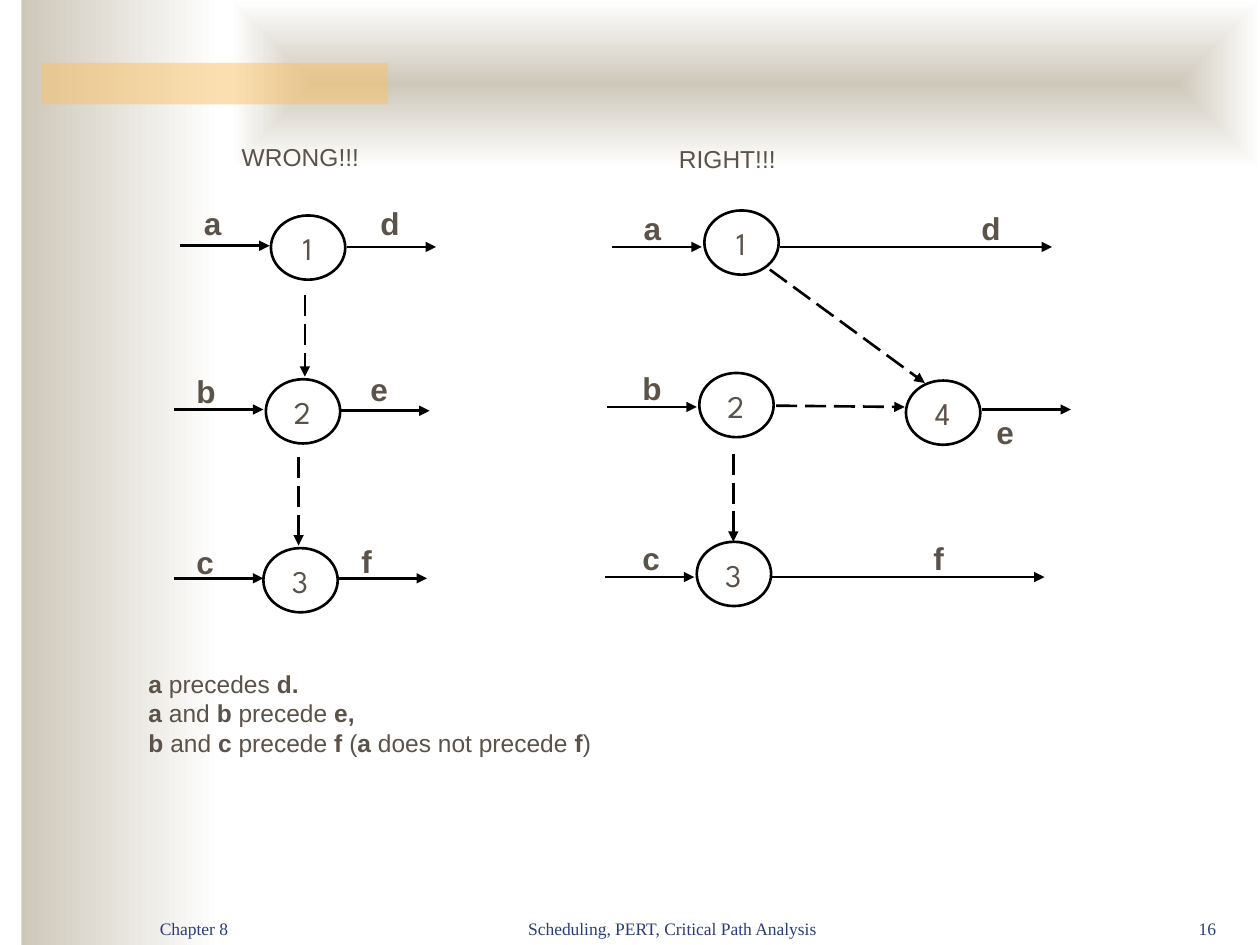
from dataclasses import dataclass

from lxml import etree
from pptx import Presentation
from pptx.dml.color import RGBColor
from pptx.enum.dml import MSO_LINE
from pptx.enum.shapes import MSO_CONNECTOR, MSO_SHAPE
from pptx.enum.text import MSO_ANCHOR, PP_ALIGN
from pptx.oxml.ns import qn
from pptx.util import Inches, Pt

RECT, OVAL = MSO_SHAPE.RECTANGLE, MSO_SHAPE.OVAL
STRAIGHT, LONG_DASH = MSO_CONNECTOR.STRAIGHT, MSO_LINE.LONG_DASH
LEFT, CENTER, RIGHT = PP_ALIGN.LEFT, PP_ALIGN.CENTER, PP_ALIGN.RIGHT
TOP, BOTTOM = MSO_ANCHOR.TOP, MSO_ANCHOR.BOTTOM


@dataclass(frozen=True)
class Theme:
    """Colours, fonts and type sizes of the slide."""
    sand: str = "CEC8BA"
    white: str = "FFFFFF"
    accent: str = "FAC164"
    ink: str = "5B5249"
    footer: str = "2A3D7A"
    stroke: str = "000000"
    body_font: str = "Arial"
    node_font: str = "League Spartan"
    footer_font: str = "Times New Roman"
    label_size: int = 18
    body_size: int = 14
    footer_size: int = 10
    line_width: float = 1.5


class NetworkSlide:
    """Draws activity networks on one slide in one style."""

    def __init__(self, slide, theme):
        """Keep the slide and the theme."""
        self.shapes, self.theme = slide.shapes, theme

    def shape(self, kind, box):
        """Add a preset shape without shadow."""
        shape = self.shapes.add_shape(kind, *map(Inches, box))
        shape.shadow.inherit = False
        return shape

    def gradient_panel(self, box, from_center=False):
        """Add a sand-to-white panel, fading rightwards or from its centre."""
        panel = self.shape(RECT, box)
        panel.line.fill.background()
        panel.fill.gradient()
        panel.fill.gradient_angle = 0
        for stop, color in zip(panel.fill.gradient_stops, (self.theme.sand, self.theme.white)):
            stop.color.rgb = RGBColor.from_string(color)
        if from_center:
            gradient = panel.fill._xPr.find(qn("a:gradFill"))
            gradient.remove(gradient.find(qn("a:lin")))
            shade = etree.SubElement(gradient, qn("a:path"), {"path": "rect"})
            sides = dict.fromkeys("ltrb", "50000")
            etree.SubElement(shade, qn("a:fillToRect"), sides)

    def accent_bar(self, box):
        """Add the half-transparent title bar."""
        bar = self.shape(RECT, box)
        bar.line.fill.background()
        bar.fill.solid()
        bar.fill.fore_color.rgb = RGBColor.from_string(self.theme.accent)
        color = bar.fill._xPr.find(qn("a:solidFill"))[0]
        etree.SubElement(color, qn("a:alpha"), {"val": "50000"})

    def text(self, box, lines, size, font, color=None, align=LEFT, anchor=TOP):
        """Add a text box; each line is a list of (words, bold) runs."""
        frame = self.shapes.add_textbox(*map(Inches, box)).text_frame
        frame.word_wrap = True
        frame.vertical_anchor = anchor
        for index, line in enumerate(lines):
            paragraph = frame.add_paragraph() if index else frame.paragraphs[0]
            paragraph.alignment = align
            for words, bold in line:
                run = paragraph.add_run()
                run.text = words
                run.font.name, run.font.size, run.font.bold = font, Pt(size), bold
                run.font.color.rgb = RGBColor.from_string(color or self.theme.ink)

    def footer(self, box, words, align):
        """Add one footer entry."""
        theme = self.theme
        self.text(box, [[(words, False)]], theme.footer_size, theme.footer_font,
                  theme.footer, align, BOTTOM)

    def heading(self, box, words):
        """Add the caption above a network."""
        self.text(box, [[(words, False)]], self.theme.body_size, self.theme.body_font)

    def node(self, number, x, y):
        """Add a numbered event circle."""
        circle = self.shape(OVAL, (x, y, 0.59, 0.51))
        circle.fill.background()
        self.stroke(circle.line)
        self.text((x - 0.02, y + 0.06, 0.62, 0.49), [[(number, False)]],
                  self.theme.label_size, self.theme.node_font, align=CENTER)

    def activity(self, name, x, y):
        """Add the letter of an activity."""
        self.text((x, y, 0.49, 0.46), [[(name, True)]],
                  self.theme.label_size, self.theme.body_font)

    def stroke(self, line):
        """Give a line the common colour and width."""
        line.color.rgb = RGBColor.from_string(self.theme.stroke)
        line.width = Pt(self.theme.line_width)

    def arrow(self, x1, y1, x2, y2, dummy=False):
        """Add an activity arrow, dashed for a dummy activity."""
        arrow = self.shapes.add_connector(STRAIGHT, *map(Inches, (x1, y1, x2, y2)))
        self.stroke(arrow.line)
        if dummy:
            arrow.line.dash_style = LONG_DASH
        etree.SubElement(arrow.line._get_or_add_ln(), qn("a:tailEnd"), {"type": "triangle"})
        etree.SubElement(arrow._element.spPr, qn("a:effectLst"))


SHORT, LONG = 0.71, 2.16
NODES = [("1", 2.15, 1.71), ("1", 5.59, 1.67), ("2", 2.11, 3.01), ("2", 5.55, 2.96),
         ("3", 2.09, 4.35), ("3", 5.53, 4.3), ("4", 7.19, 3.02)]
# Start x, y and length of each activity arrow
ACTIVITY_ARROWS = [
    (1.43, 1.95, SHORT), (2.75, 1.96, SHORT), (1.38, 3.25, SHORT),
    (2.7, 3.26, SHORT), (1.38, 4.59, SHORT), (2.68, 4.59, SHORT),
    (4.86, 1.96, SHORT), (6.19, 1.96, LONG), (4.82, 3.23, SHORT),
    (7.79, 3.25, SHORT), (4.8, 4.58, SHORT), (6.13, 4.58, LONG)]
DUMMY_ARROWS = [(2.42, 2.34, 2.42, 2.99), (2.37, 3.63, 2.37, 4.33),
                (6.16, 3.22, 7.18, 3.23), (5.82, 3.6, 5.82, 4.3),
                (6.11, 2.14, 7.34, 3.04)]
ACTIVITIES = [("a", 1.52, 1.57), ("d", 2.92, 1.57), ("b", 1.46, 2.9),
              ("e", 2.84, 2.89), ("c", 1.46, 4.26), ("f", 2.77, 4.25),
              ("a", 5.01, 1.61), ("d", 7.69, 1.61), ("b", 5, 2.88),
              ("e", 7.81, 3.23), ("f", 7.31, 4.23), ("c", 5, 4.23)]
# Runs alternate between bold and regular, starting bold
RULES = [["a ", "precedes ", "d. "],
         ["a", " and ", "b ", "precede ", "e,"],
         ["b ", "and ", "c ", "precede ", "f ", "(", "a", " does not precede ", "f", ")"]]


def main():
    """Build and save the slide."""
    deck = Presentation()
    deck.slide_width, deck.slide_height = Inches(10), Inches(7.5)
    theme = Theme()
    page = NetworkSlide(deck.slides.add_slide(deck.slide_layouts[6]), theme)

    page.gradient_panel((0.17, 0, 1.58, 7.5))
    page.gradient_panel((1.83, 0, 8.17, 1.33), from_center=True)
    page.accent_bar((0.33, 0.5, 2.75, 0.33))
    page.footer((1.17, 7, 2.08, 0.5), "Chapter 8", LEFT)
    page.footer((3.75, 7, 3.17, 0.5), "Scheduling, PERT, Critical Path Analysis", CENTER)
    page.footer((8.75, 7, 1, 0.5), "16", RIGHT)

    for node in NODES:
        page.node(*node)
    for x, y, length in ACTIVITY_ARROWS:
        page.arrow(x, y, x + length, y)
    for ends in DUMMY_ARROWS:
        page.arrow(*ends, dummy=True)
    for activity in ACTIVITIES:
        page.activity(*activity)

    page.heading((1.82, 1.08, 1.21, 0.39), "WRONG!!!")
    page.heading((5.29, 1.09, 1.17, 0.34), "RIGHT!!!")
    rules = [[(words, index % 2 == 0) for index, words in enumerate(rule)] for rule in RULES]
    page.text((1.08, 5.26, 6.88, 0.41), rules, theme.body_size, theme.body_font)
    deck.save("out.pptx")


main()
